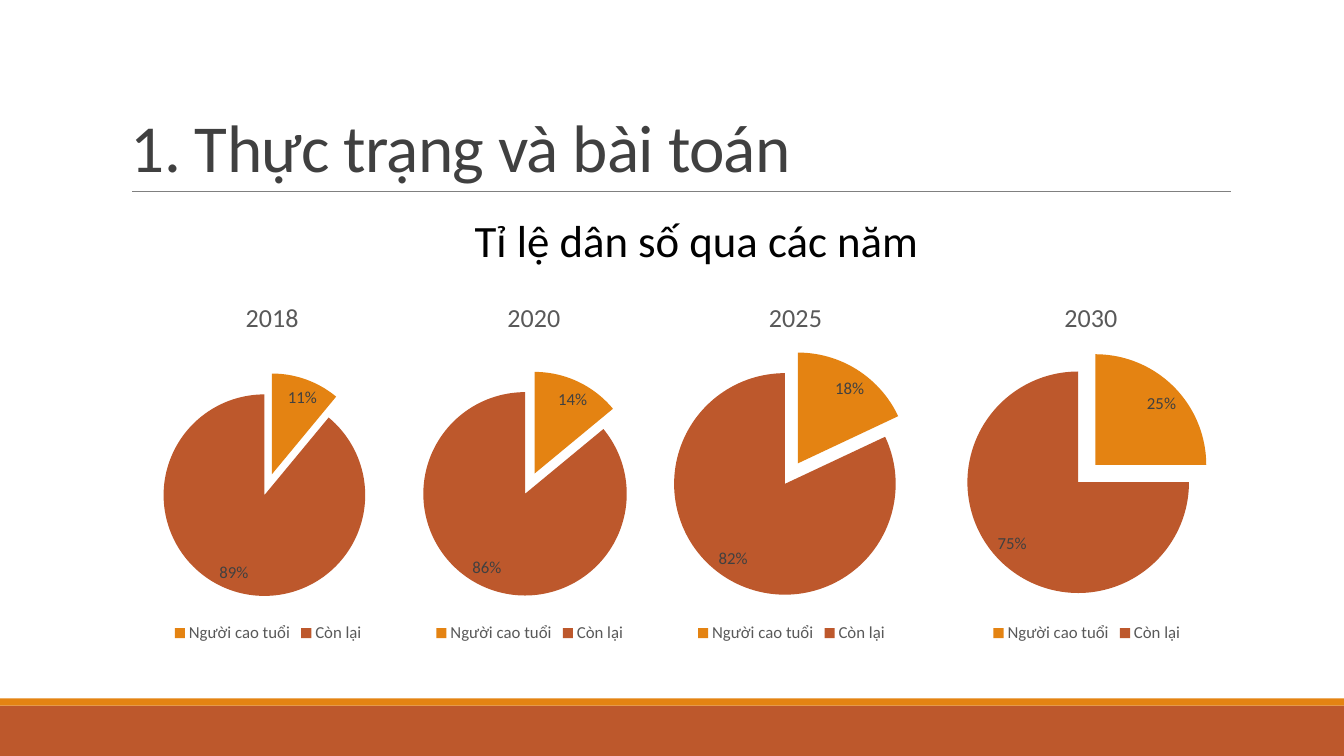
"""Builds a slide with four pies showing the share of older people by year."""
from dataclasses import dataclass

from lxml.etree import SubElement
from pptx import Presentation
from pptx.chart.chart import Chart
from pptx.chart.data import CategoryChartData as Data
from pptx.dml.color import RGBColor as Rgb
from pptx.enum.chart import XL_CHART_TYPE as Kind
from pptx.enum.chart import XL_LABEL_POSITION as Spot
from pptx.enum.chart import XL_LEGEND_POSITION as Side
from pptx.enum.shapes import MSO_CONNECTOR as Link
from pptx.enum.shapes import MSO_SHAPE as Shape
from pptx.enum.text import MSO_ANCHOR as Anchor
from pptx.enum.text import PP_ALIGN as Align
from pptx.oxml.ns import qn
from pptx.slide import Slide
from pptx.text.text import Font
from pptx.util import Inches, Pt

FACE = "Calibri"
AMBER, RUST = "E48312", "BD582C"
DARK, GREY = "404040", "595959"
NAMES = ("Người cao tuổi", "Còn lại")
TOP, HIGH, BASE = 2.71, 3.71, 3.21


@dataclass
class Band:
    top: float
    high: float
    fill: str


@dataclass
class Label:
    text: str
    left: float
    top: float
    wide: float
    high: float
    size: float
    color: str
    align: Align = Align.LEFT
    anchor: Anchor = Anchor.TOP
    lead: float = 1.0
    track: int = 0


@dataclass
class Pie:
    year: str
    share: float
    left: float
    wide: float
    disc: float


BANDS = [Band(7, 0.5, RUST), Band(6.93, 0.07, AMBER)]
LABELS = [
    Label("1. Thực trạng và bài toán", 1.2, 0.31, 11, 1.59, 48, DARK,
          anchor=Anchor.BOTTOM, lead=0.85, track=-50),
    Label("Tỉ lệ dân số qua các năm", 2.89, 2.06, 8.04, 0.64, 32, "000000",
          align=Align.CENTER),
]
PIES = [
    Pie("2018", 0.11, 1.2, 2.92, 2.22),
    Pie("2020", 0.14, 3.81, 2.89, 2.24),
    Pie("2025", 0.18, 6.38, 2.94, 2.44),
    Pie("2030", 0.25, 9.31, 2.94, 2.44),
]


def paint(code: str) -> Rgb:
    """Turn a hex string into a colour."""
    return Rgb.from_string(code)


def style(font: Font, size: float, color: str) -> None:
    """Set face, size and colour of a font."""
    font.name, font.size, font.bold = FACE, Pt(size), False
    font.color.rgb = paint(color)


def add_band(slide: Slide, band: Band) -> None:
    """Draw a full-width band."""
    box = slide.shapes.add_shape(Shape.RECTANGLE, 0, Inches(band.top),
                                 Inches(13.33), Inches(band.high))
    box.shadow.inherit = False
    box.fill.solid()
    box.fill.fore_color.rgb = paint(band.fill)
    box.line.fill.background()


def add_rule(slide: Slide) -> None:
    """Draw the thin line under the title."""
    rule = slide.shapes.add_connector(Link.STRAIGHT, Inches(1.31), Inches(1.9),
                                      Inches(12.21), Inches(1.9))
    rule.line.color.rgb = paint("808080")
    rule.line.width = Pt(0.5)
    SubElement(rule.element.spPr, qn("a:effectLst"))


def add_label(slide: Slide, label: Label) -> None:
    """Draw one text box."""
    box = slide.shapes.add_textbox(Inches(label.left), Inches(label.top),
                                   Inches(label.wide), Inches(label.high))
    frame = box.text_frame
    frame.word_wrap = True
    frame.vertical_anchor = label.anchor
    frame.text = label.text
    para = frame.paragraphs[0]
    para.alignment, para.line_spacing = label.align, label.lead
    run = para.runs[0]
    style(run.font, label.size, label.color)
    if label.track:
        run.font._element.set("spc", str(label.track))


def place(node, index: int, **parts: float) -> None:
    """Give a chart part a fixed place, in fractions of the chart."""
    for old in node.findall(qn("c:layout")):
        node.remove(old)
    plan = SubElement(node, qn("c:layout"))
    node.insert(index, plan)
    hand = SubElement(plan, qn("c:manualLayout"))
    if "w" in parts:
        SubElement(hand, qn("c:layoutTarget")).set("val", "inner")
    for mode in ("xMode", "yMode"):
        SubElement(hand, qn(f"c:{mode}")).set("val", "edge")
    for key, value in parts.items():
        SubElement(hand, qn(f"c:{key}")).set("val", f"{value:.4f}")


def add_title(chart: Chart, pie: Pie) -> None:
    """Write the year above a pie."""
    chart.has_title = True
    title = chart.chart_title
    title.include_in_layout = False
    title.text_frame.text = pie.year
    style(title.text_frame.paragraphs[0].runs[0].font, 18.6, GREY)
    place(title.element, 1, x=0.5 - 0.27 / pie.wide, y=0.21 / HIGH)


def add_pie(slide: Slide, pie: Pie) -> None:
    """Draw the pie of one year."""
    data = Data(number_format="0%")
    data.categories = NAMES
    data.add_series("Series 1", (pie.share, round(1 - pie.share, 2)))
    chart = slide.shapes.add_chart(Kind.PIE, Inches(pie.left), Inches(TOP),
                                   Inches(pie.wide), Inches(HIGH), data).chart
    style(chart.font, 12, GREY)
    add_title(chart, pie)
    chart.has_legend = True
    chart.legend.position = Side.BOTTOM
    chart.legend.include_in_layout = False
    style(chart.legend.font, 12, GREY)

    plot = chart.plots[0]
    plot.vary_by_categories = True
    row = plot.series[0]
    for index, color in enumerate((AMBER, RUST)):
        fill = row.points[index].format.fill
        fill.solid()
        fill.fore_color.rgb = paint(color)
    node = row._element
    burst = SubElement(node, qn("c:explosion"))
    burst.set("val", "11")
    node.find(qn("c:dPt")).addprevious(burst)

    tags = row.data_labels
    tags.show_value = True
    tags.number_format, tags.number_format_is_linked = "0%", False
    tags.position = Spot.BEST_FIT
    style(tags.font, 12, DARK)
    area = next(chart.element.iter(qn("c:plotArea")))
    place(area, 0, x=0.5 - pie.disc / 2 / pie.wide, y=(BASE - pie.disc) / HIGH,
          w=pie.disc / pie.wide, h=pie.disc / HIGH)


def main() -> None:
    """Build and save the deck."""
    deck = Presentation()
    deck.slide_width, deck.slide_height = Inches(13.33), Inches(7.5)
    slide = deck.slides.add_slide(deck.slide_layouts[6])
    for band in BANDS:
        add_band(slide, band)
    add_rule(slide)
    for pie in PIES:
        add_pie(slide, pie)
    for label in LABELS:
        add_label(slide, label)
    deck.save("out.pptx")


if __name__ == "__main__":
    main()
